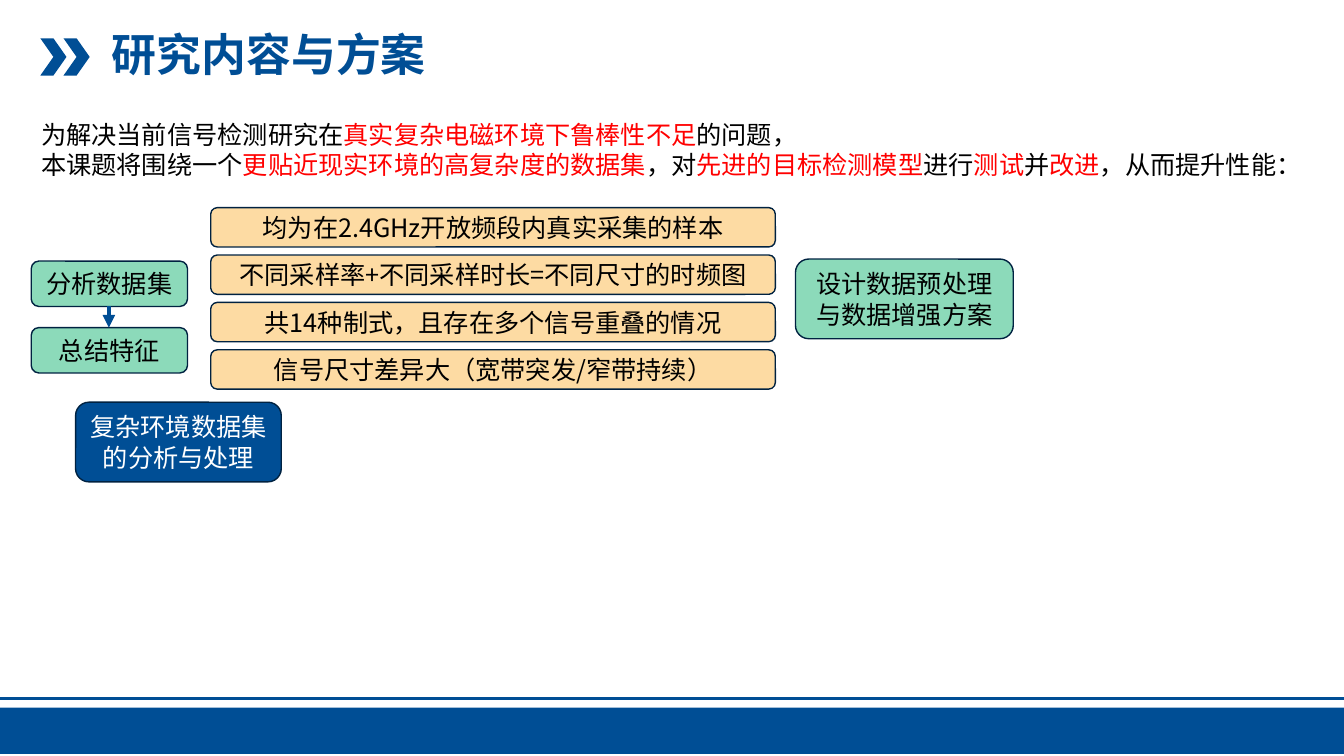
from lxml.etree import SubElement
from pptx import Presentation
from pptx.dml.color import RGBColor
from pptx.enum.shapes import MSO_CONNECTOR, MSO_SHAPE
from pptx.enum.text import MSO_ANCHOR, PP_ALIGN
from pptx.oxml.ns import qn
from pptx.util import Pt

SCALE = 9144  # EMU per px, 100 px to the inch
FONT = "Noto Sans CJK SC"
COLORS = {"blue": "004E95", "navy": "002241", "green": "8CDABA", "sand": "FDDBA3",
          "black": "000000", "red": "FF0000", "white": "FFFFFF"}
INTRO = [
    [("为解决当前信号检测研究在", "black"), ("真实复杂电磁环境下鲁棒性不足", "red"),
     ("的问题，", "black")],
    [("本课题将围绕一个", "black"), ("更贴近现实环境的高复杂度的数据集", "red"),
     ("，对", "black"), ("先进的目标检测模型", "red"), ("进行", "black"),
     ("测试", "red"), ("并", "black"), ("改进", "red"), ("，从而提升性能：", "black")],
]
FEATURES = ["均为在2.4GHz开放频段内真实采集的样本",
            "不同采样率+不同采样时长=不同尺寸的时频图",
            "共14种制式，且存在多个信号重叠的情况",
            "信号尺寸差异大（宽带突发/窄带持续）"]


def px(*lengths):
    return [length * SCALE for length in lengths]


def color(name):
    return RGBColor.from_string(COLORS[name])


def set_font(para, size, name, bold=False):
    font = para.font
    font.name, font.size, font.bold = FONT, Pt(size), bold
    font.color.rgb = color(name)
    properties = para._p.pPr.find(qn("a:defRPr"))
    SubElement(properties, qn("a:ea")).set("typeface", FONT)


def add_block(page, kind, box, fill, outline=None):
    block = page.shapes.add_shape(kind, *px(*box))
    block.shadow.inherit = False
    block.fill.solid()
    block.fill.fore_color.rgb = color(fill)
    if outline:
        block.line.color.rgb = color(outline)
        block.line.width = Pt(1)
    else:
        block.line.fill.background()
    return block


def add_card(page, box, text, fill, ink="black"):
    card = add_block(page, MSO_SHAPE.ROUNDED_RECTANGLE, box, fill, "navy")
    frame = card.text_frame
    frame.word_wrap = True
    frame.vertical_anchor = MSO_ANCHOR.MIDDLE
    para = frame.paragraphs[0]
    para.text = text
    para.alignment = PP_ALIGN.CENTER
    set_font(para, 18, ink)


def add_line(page, start, end, width, arrow=False):
    line = page.shapes.add_connector(MSO_CONNECTOR.STRAIGHT, *px(*start, *end))
    line.line.color.rgb = color("blue")
    line.line.width = Pt(width)
    if arrow:
        SubElement(line.line._get_or_add_ln(), qn("a:tailEnd")).set("type", "triangle")
    SubElement(line._element.spPr, qn("a:effectLst"))


def add_footer(page, left, top, width):
    add_line(page, (left, top), (left + width, top), 2)
    add_block(page, MSO_SHAPE.RECTANGLE, (left, top + 9, width, 46), "blue")


def add_heading(page, left, top, text):
    # Double chevron beside the title
    for offset in (23, 0):
        add_block(page, MSO_SHAPE.CHEVRON, (left + offset, top + 15, 26, 37), "blue")
    title = page.shapes.title
    title.left, title.top, title.width, title.height = px(left + 61, top, 858, 67)
    frame = title.text_frame
    frame.word_wrap = True
    frame.vertical_anchor = MSO_ANCHOR.MIDDLE
    para = frame.paragraphs[0]
    para.text = text
    para.alignment = PP_ALIGN.LEFT
    para.line_spacing = 0.9
    set_font(para, 32, "blue", bold=True)


def add_intro(page, box):
    frame = page.shapes.add_textbox(*px(*box)).text_frame
    frame.word_wrap = False
    for index, spans in enumerate(INTRO):
        para = frame.add_paragraph() if index else frame.paragraphs[0]
        set_font(para, 18, "black")
        for text, ink in spans:
            span = para.add_run()
            span.text = text
            span.font.color.rgb = color(ink)


def add_analysis(page, left, top):
    # Analysis steps joined by an arrow
    width, height, step = 155, 45, 66
    first = top + 53
    for index, text in enumerate(["分析数据集", "总结特征"]):
        add_card(page, (left, first + index * step, width, height), text, "green")
    middle = left + width // 2
    add_line(page, (middle, first + height), (middle, first + step), 3, arrow=True)
    # Data set features
    for index, text in enumerate(FEATURES):
        add_card(page, (left + 178, top + index * 47, 560, 39), text, "sand")
    # Resulting plan and stage name
    add_card(page, (left + 758, top + 51, 216, 79), "设计数据预处理与数据增强方案", "green")
    add_card(page, (left + 44, top + 193, 204, 79), "复杂环境数据集的分析与处理",
             "blue", "white")


def main():
    deck = Presentation()
    deck.slide_width, deck.slide_height = px(1333, 750)
    page = deck.slides.add_slide(deck.slide_layouts[5])
    add_footer(page, 0, 693, 1333)
    add_heading(page, 40, 23, "研究内容与方案")
    add_intro(page, (31, 113, 1272, 71))
    add_analysis(page, 31, 206)
    deck.save("out.pptx")


if __name__ == "__main__":
    main()
